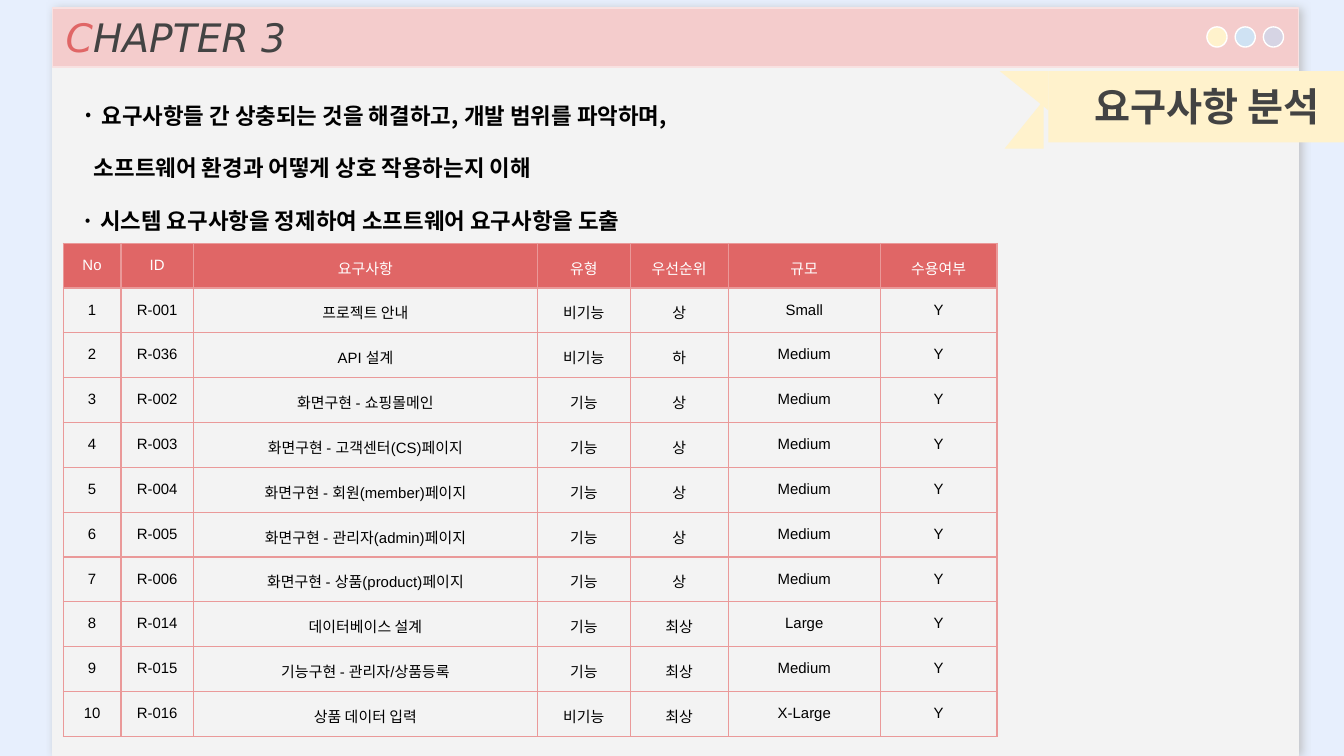
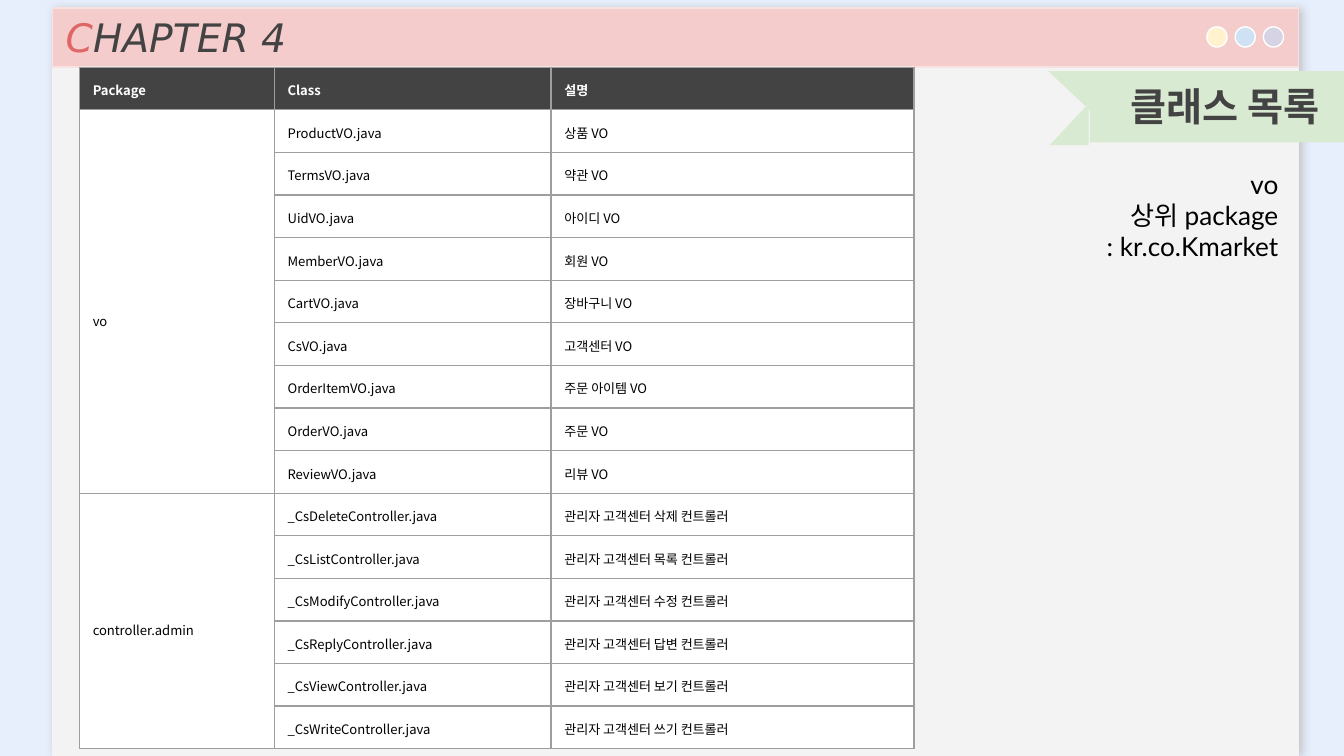
import pptx
import pptx.util
import pptx.dml.color
import pptx.enum.shapes
import pptx.enum.text
import pptx.oxml
import pptx.oxml.ns
from lxml import etree

Inches = pptx.util.Inches
Pt = pptx.util.Pt
RGB = pptx.dml.color.RGBColor
SHAPE = pptx.enum.shapes.MSO_SHAPE
ALIGN = pptx.enum.text.PP_ALIGN
qn = pptx.oxml.ns.qn

SKY = RGB(0xE7, 0xEF, 0xFD)
PAPER = RGB(0xF3, 0xF3, 0xF3)
PINK = RGB(0xF4, 0xCC, 0xCC)
BLUSH = RGB(0xF8, 0xE1, 0xE1)
RED = RGB(0xE0, 0x66, 0x66)
ROSE = RGB(0xEA, 0x99, 0x99)
CREAM = RGB(0xFF, 0xF2, 0xCC)
BLUE = RGB(0xCF, 0xE2, 0xF3)
LILAC = RGB(0xD6, 0xD4, 0xE4)
GREEN = RGB(0xD9, 0xEA, 0xD3)
DARK = RGB(0x43, 0x43, 0x43)
GRAY = RGB(0x9E, 0x9E, 0x9E)
WHITE = RGB(0xFF, 0xFF, 0xFF)
BLACK = RGB(0, 0, 0)

NOTO = "Noto Sans CJK KR"
SHADOW = (
    '<a:effectLst %s><a:outerShdw blurRad="57150" dist="19050" dir="0" algn="bl" rotWithShape="0">'
    '<a:srgbClr val="B7B7B7"><a:alpha val="80000"/></a:srgbClr></a:outerShdw></a:effectLst>'
    % pptx.oxml.ns.nsdecls("a")
)

NEEDS = [
    ("No", "ID", "요구사항", "유형", "우선순위", "규모", "수용여부"),
    ("1", "R-001", "프로젝트 안내", "비기능", "상", "Small", "Y"),
    ("2", "R-036", "API 설계", "비기능", "하", "Medium", "Y"),
    ("3", "R-002", "화면구현 - 쇼핑몰메인", "기능", "상", "Medium", "Y"),
    ("4", "R-003", "화면구현 - 고객센터(CS)페이지", "기능", "상", "Medium", "Y"),
    ("5", "R-004", "화면구현 - 회원(member)페이지", "기능", "상", "Medium", "Y"),
    ("6", "R-005", "화면구현 - 관리자(admin)페이지", "기능", "상", "Medium", "Y"),
    ("7", "R-006", "화면구현 - 상품(product)페이지", "기능", "상", "Medium", "Y"),
    ("8", "R-014", "데이터베이스 설계", "기능", "최상", "Large", "Y"),
    ("9", "R-015", "기능구현 - 관리자/상품등록", "기능", "최상", "Medium", "Y"),
    ("10", "R-016", "상품 데이터 입력", "비기능", "최상", "X-Large", "Y"),
]

BEANS = [
    ("Product", "상품"), ("Terms", "약관"), ("Uid", "아이디"),
    ("Member", "회원"), ("Cart", "장바구니"), ("Cs", "고객센터"),
    ("OrderItem", "주문 아이템"), ("Order", "주문"), ("Review", "리뷰"),
]
ACTIONS = [
    ("Delete", "삭제"), ("List", "목록"), ("Modify", "수정"),
    ("Reply", "답변"), ("View", "보기"), ("Write", "쓰기"),
]
CLASSES = (
    [("Package", "Class", "설명")]
    + [("", f"{name}VO.java", f"{label} VO") for name, label in BEANS]
    + [("", f"_Cs{name}Controller.java", f"관리자 고객센터 {label} 컨트롤러")
       for name, label in ACTIONS]
)


def write(para, text, size=8, font="Arial", color=BLACK, bold=False, italic=False, align=None):
    """Add a formatted run to a paragraph."""
    run = para.add_run()
    run.text = text
    face = run.font
    face.size, face.name, face.bold, face.italic = Pt(size), font, bold, italic
    face.color.rgb = color
    if align is not None:
        para.alignment = align


class Deck:
    """Holds the shared style and the current slide."""

    def __init__(self):
        self.show = pptx.Presentation()
        self.show.slide_width = Inches(10)
        self.show.slide_height = Inches(10) * 9 // 16

    def start(self, number):
        """Open a slide with its page, band, dots and title."""
        self.slide = self.show.slides.add_slide(self.show.slide_layouts[6])
        back = self.slide.background.fill
        back.solid()
        back.fore_color.rgb = SKY
        page = self.shape(SHAPE.RECTANGLE, 0.39, 0.07, 9.27, 5.55, PAPER, PAPER)
        props = page._element.spPr
        props.remove(props.find(qn("a:effectLst")))
        props.append(pptx.oxml.parse_xml(SHADOW))
        self.shape(SHAPE.RECTANGLE, 0.39, 0.06, 9.27, 0.44, PINK, BLUSH)
        for i, color in enumerate((CREAM, BLUE, LILAC)):
            self.shape(SHAPE.OVAL, 8.98 + 0.21 * i, 0.2, 0.15, 0.15, color, WHITE)
        para = self.box(0.39, 0, 4.69, 0.56).paragraphs[0]
        style = dict(size=21, font="DejaVu Sans", italic=True)
        write(para, "C", color=RED, **style)
        write(para, f"HAPTER {number}", color=DARK, **style)

    def shape(self, kind, x, y, w, h, fill, line=None, turn=0):
        """Add a filled preset shape."""
        item = self.slide.shapes.add_shape(kind, Inches(x), Inches(y), Inches(w), Inches(h))
        item.shadow.inherit = False
        item.rotation = turn
        item.fill.solid()
        item.fill.fore_color.rgb = fill
        if line is None:
            item.line.fill.background()
        else:
            item.line.color.rgb = line
            item.line.width = Pt(0.75)
        return item

    def box(self, x, y, w, h):
        """Add a wrapping text box and return its frame."""
        frame = self.slide.shapes.add_textbox(Inches(x), Inches(y), Inches(w), Inches(h)).text_frame
        frame.word_wrap = True
        frame.margin_left = frame.margin_right = Inches(0.1)
        frame.margin_top = frame.margin_bottom = Inches(0.1)
        return frame

    def ribbon(self, text, x, fold, color):
        """Add the notched ribbon with its heading."""
        self.shape(SHAPE.RIGHT_TRIANGLE, x, 0.53, fold, 0.29, color, turn=180)
        self.shape(SHAPE.RIGHT_TRIANGLE, x, 0.78, fold, 0.29, color, turn=270)
        self.shape(SHAPE.RECTANGLE, x + fold, 0.53, 10.03 - x - fold, 0.53, color)
        para = self.box(7.43, 0.51, 2.49, 0.56).paragraphs[0]
        write(para, text, size=21, font="Lato", color=DARK, bold=True, align=ALIGN.RIGHT)

    def points(self, x, y, w, h, items):
        """Add spaced lines, each with a dot of its size or a plain indent."""
        frame = self.box(x, y, w, h)
        for i, (text, dot) in enumerate(items):
            para = frame.add_paragraph() if i else frame.paragraphs[0]
            props = para._p.get_or_add_pPr()
            props.set("marL", str(Inches(0.12 if dot else 0.21)))
            props.set("indent", "0")
            para.line_spacing = 1.39
            if i:
                para.space_before = Pt(8)
            if dot:
                write(para, "· ", size=dot, font=NOTO, bold=True)
            write(para, text, size=12, font=NOTO, bold=True)

    def edge(self, cell, color):
        """Draw the four borders of a cell."""
        props = cell._tc.get_or_add_tcPr()
        for side in "LRTB":
            line = etree.SubElement(props, qn(f"a:ln{side}"), w=str(Pt(0.75)))
            solid = etree.SubElement(line, qn("a:solidFill"))
            etree.SubElement(solid, qn("a:srgbClr"), val=str(color))

    def table(self, x, y, h, cols, rows, head, body, line, bold=False, **style):
        """Add a table with even rows and a coloured header."""
        grid = self.slide.shapes.add_table(
            len(rows), len(cols), Inches(x), Inches(y), Inches(sum(cols)), Inches(h)
        ).table
        grid.first_row = grid.horz_banding = False
        for col, width in zip(grid.columns, cols):
            col.width = Inches(width)
        for r, row in enumerate(rows):
            grid.rows[r].height = Inches(h / len(rows))
            for c, text in enumerate(row):
                cell = grid.cell(r, c)
                cell.margin_left = cell.margin_right = Inches(0.1)
                cell.margin_top = cell.margin_bottom = Inches(0.1)
                self.edge(cell, line)
                fill = body if r else head
                if fill is None:
                    cell.fill.background()
                else:
                    cell.fill.solid()
                    cell.fill.fore_color.rgb = fill
                if text:
                    write(cell.text_frame.paragraphs[0], text, color=BLACK if r else WHITE,
                          bold=bold and not r, **style)
        return grid


def main():
    """Build both slides and save them."""
    deck = Deck()

    deck.start(3)
    deck.ribbon("요구사항 분석", 7.44, 0.36, CREAM)
    deck.table(0.47, 1.81, 3.66, (0.43, 0.54, 2.56, 0.69, 0.73, 1.13, 0.87), NEEDS,
               RED, None, ROSE, align=ALIGN.CENTER)
    deck.points(0.39, 0.56, 5.41, 1.21, [
        ("요구사항들 간 상충되는 것을 해결하고, 개발 범위를 파악하며,", 13),
        ("소프트웨어 환경과 어떻게 상호 작용하는지 이해", None),
        ("시스템 요구사항을 정제하여 소프트웨어 요구사항을 도출", 12),
    ])

    deck.start(4)
    grid = deck.table(0.59, 0.5, 5.06, (1.45, 2.06, 2.7), CLASSES,
                      DARK, WHITE, GRAY, bold=True, size=7, font=NOTO)
    first = 1
    for name, count, drop in (("vo", len(BEANS), 1.5), ("controller.admin", len(ACTIONS), 0.95)):
        cell = grid.cell(first, 0)
        cell.merge(grid.cell(first + count - 1, 0))
        cell.margin_top = Inches(drop)
        write(cell.text_frame.paragraphs[0], name, size=7, font=NOTO)
        first += count
    frame = deck.box(7.72, 1.15, 1.89, 0.91)
    for i, text in enumerate(("vo", "상위 package", ": kr.co.Kmarket")):
        para = frame.add_paragraph() if i else frame.paragraphs[0]
        write(para, text, size=14, font="Lato", align=ALIGN.RIGHT)
    deck.ribbon("클래스 목록", 7.8, 0.31, GREEN)

    deck.show.save("out.pptx")


if __name__ == "__main__":
    main()
